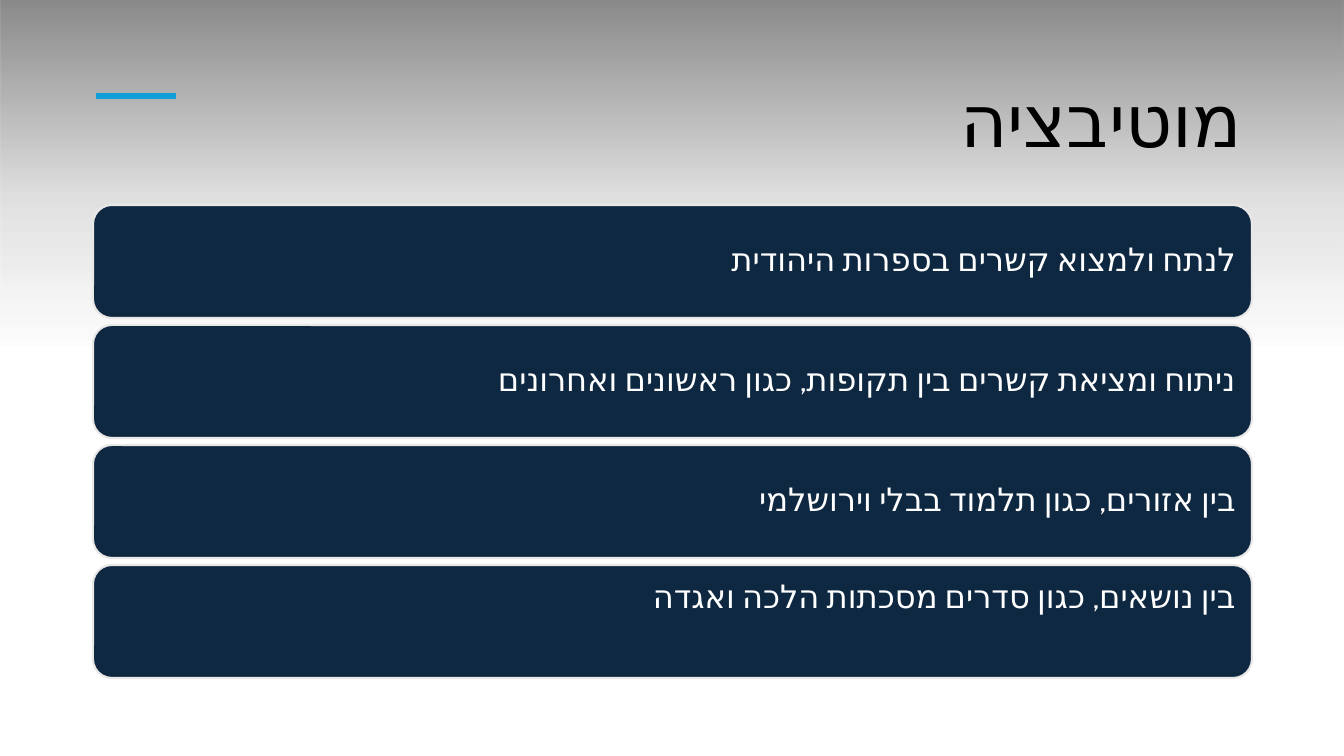
from dataclasses import dataclass

import lxml.etree
import pptx
import pptx.dml.color
import pptx.enum.lang
import pptx.enum.shapes
import pptx.enum.text
import pptx.oxml
import pptx.oxml.ns
import pptx.util

RGBColor = pptx.dml.color.RGBColor
Anchor = pptx.enum.text.MSO_ANCHOR
Shapes = pptx.enum.shapes.MSO_SHAPE

EMU_PER_PX = 914400 / 100.8
SLIDE_W, SLIDE_H = 1344, 756
FONT = "Cabin"

BLACK = RGBColor(0x00, 0x00, 0x00)
WHITE = RGBColor(0xFF, 0xFF, 0xFF)
NAVY = RGBColor(0x0E, 0x28, 0x41)
PALE_GREY = RGBColor(0xE8, 0xE8, 0xE8)
SKY_BLUE = RGBColor(0x0F, 0x9E, 0xD5)

CONTENT_LEFT, CONTENT_W = 93, 1159
BAR_TOP, BAR_H, BAR_PITCH = 205, 113, 120
BAR_INSET = 10
SHADE_H = 387
SHADE_STOPS = [(10, 0), (49, 12), (100, 46)]  # position and opacity, percent


@dataclass
class Bar:
    text: str
    anchor: Anchor = Anchor.MIDDLE


BARS = [
    Bar("לנתח ולמצוא קשרים בספרות היהודית"),
    Bar("ניתוח ומציאת קשרים בין תקופות, כגון ראשונים ואחרונים"),
    Bar("בין אזורים, כגון תלמוד בבלי וירושלמי"),
    Bar("בין נושאים, כגון סדרים מסכתות הלכה ואגדה", Anchor.TOP),
]


def px(n: float) -> pptx.util.Emu:
    return pptx.util.Emu(round(n * EMU_PER_PX))


def write_text(tf, text: str, *, size: int, color: RGBColor, anchor: Anchor) -> None:
    """Fill a text frame with one right-to-left paragraph."""
    tf.word_wrap = True
    tf.vertical_anchor = anchor
    p = tf.paragraphs[0]
    p.alignment = pptx.enum.text.PP_ALIGN.RIGHT
    p.line_spacing = 0.9
    p._p.get_or_add_pPr().set("rtl", "1")
    r = p.add_run()
    r.text = text
    r.font.name = FONT
    r.font.size = pptx.util.Pt(size)
    r.font.color.rgb = color
    r.font.language_id = pptx.enum.lang.MSO_LANGUAGE_ID.HEBREW
    cs = lxml.etree.SubElement(r._r.get_or_add_rPr(), pptx.oxml.ns.qn("a:cs"))
    cs.set("typeface", FONT)


def add_shade(s) -> None:
    """Lay a black gradient, fading downwards, behind everything else."""
    left, top = (SLIDE_W - SHADE_H) / 2, (SHADE_H - SLIDE_W) / 2
    sp = s.shapes.add_shape(Shapes.RECTANGLE, px(left), px(top), px(SHADE_H), px(SLIDE_W))
    sp.rotation = 90
    sp.shadow.inherit = False
    sp.line.fill.background()
    sp.fill.gradient()
    sp.fill.gradient_angle = 180
    stops = sp._element.spPr.find(".//" + pptx.oxml.ns.qn("a:gsLst"))
    for stop in list(stops):
        stops.remove(stop)
    for position, opacity in SHADE_STOPS:
        stops.append(pptx.oxml.parse_xml(
            f'<a:gs {pptx.oxml.ns.nsdecls("a")} pos="{position * 1000}">'
            f'<a:srgbClr val="{BLACK}"><a:alpha val="{opacity * 1000}"/></a:srgbClr></a:gs>'))
    s.shapes._spTree.insert(2, sp._element)


def add_accent_line(s) -> None:
    line = s.shapes.add_connector(
        pptx.enum.shapes.MSO_CONNECTOR.STRAIGHT, px(96), px(96), px(176), px(96))
    line.line.color.rgb = SKY_BLUE
    line.line.width = pptx.util.Pt(4.5)
    lxml.etree.SubElement(line._element.spPr, pptx.oxml.ns.qn("a:effectLst"))


def add_bar(s, bar: Bar, top: int) -> None:
    sp = s.shapes.add_shape(
        Shapes.ROUNDED_RECTANGLE, px(CONTENT_LEFT), px(top), px(CONTENT_W), px(BAR_H))
    sp.shadow.inherit = False
    sp.fill.solid()
    sp.fill.fore_color.rgb = NAVY
    sp.line.color.rgb = PALE_GREY
    sp.line.width = pptx.util.Pt(1.5)
    tf = sp.text_frame
    tf.margin_left = tf.margin_right = tf.margin_top = tf.margin_bottom = px(BAR_INSET)
    write_text(tf, bar.text, size=23, color=WHITE, anchor=bar.anchor)


def main() -> None:
    prs = pptx.Presentation()
    prs.slide_width, prs.slide_height = px(SLIDE_W), px(SLIDE_H)
    s = prs.slides.add_slide(prs.slide_layouts.get_by_name("Title Only"))

    title = s.shapes.title
    title.left, title.top = px(CONTENT_LEFT), px(61)
    title.width, title.height = px(CONTENT_W), px(125)
    write_text(title.text_frame, "מוטיבציה", size=52, color=BLACK, anchor=Anchor.MIDDLE)

    add_shade(s)
    add_accent_line(s)
    for i, bar in enumerate(BARS):
        add_bar(s, bar, BAR_TOP + i * BAR_PITCH)
    prs.save("out.pptx")


if __name__ == "__main__":
    main()
